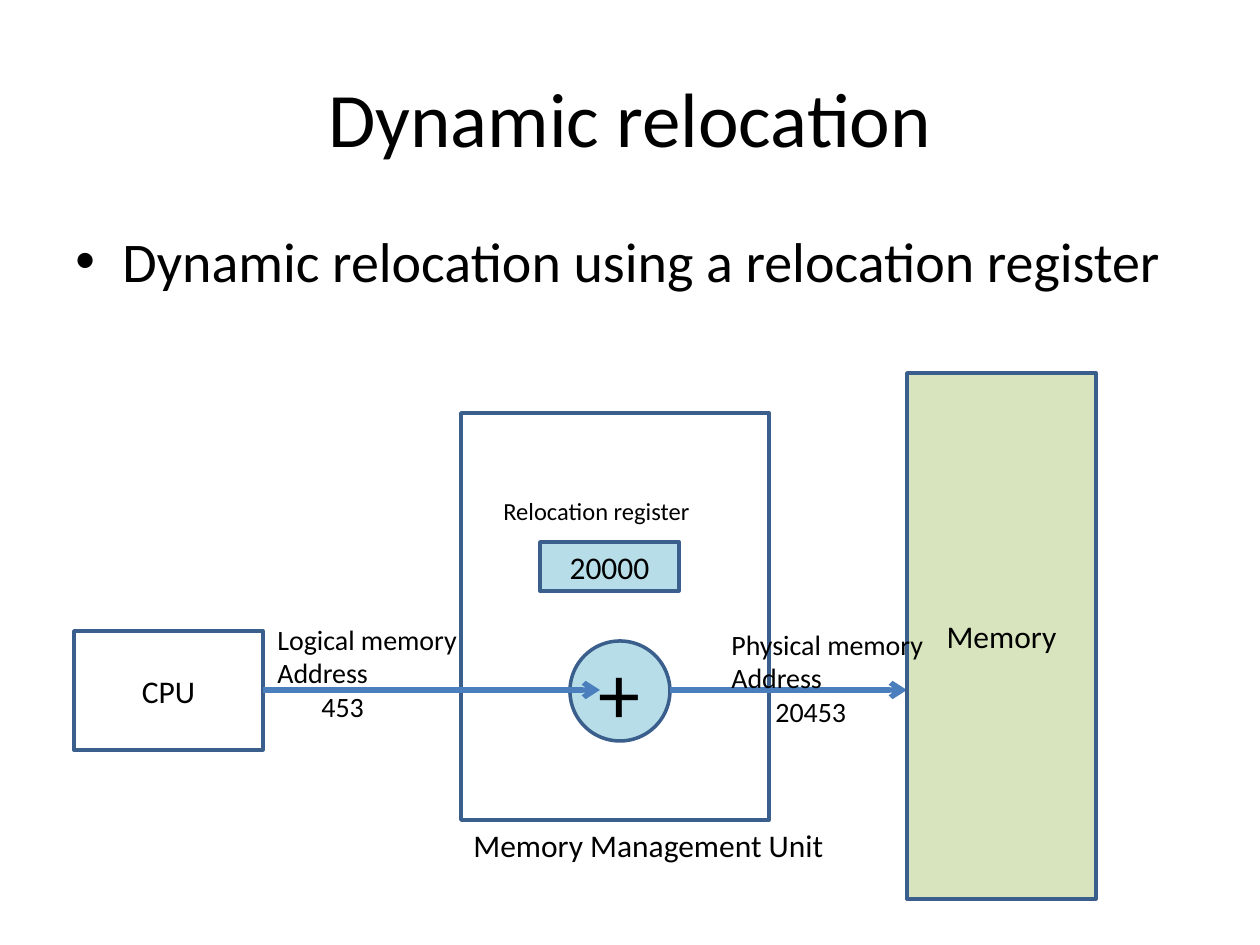
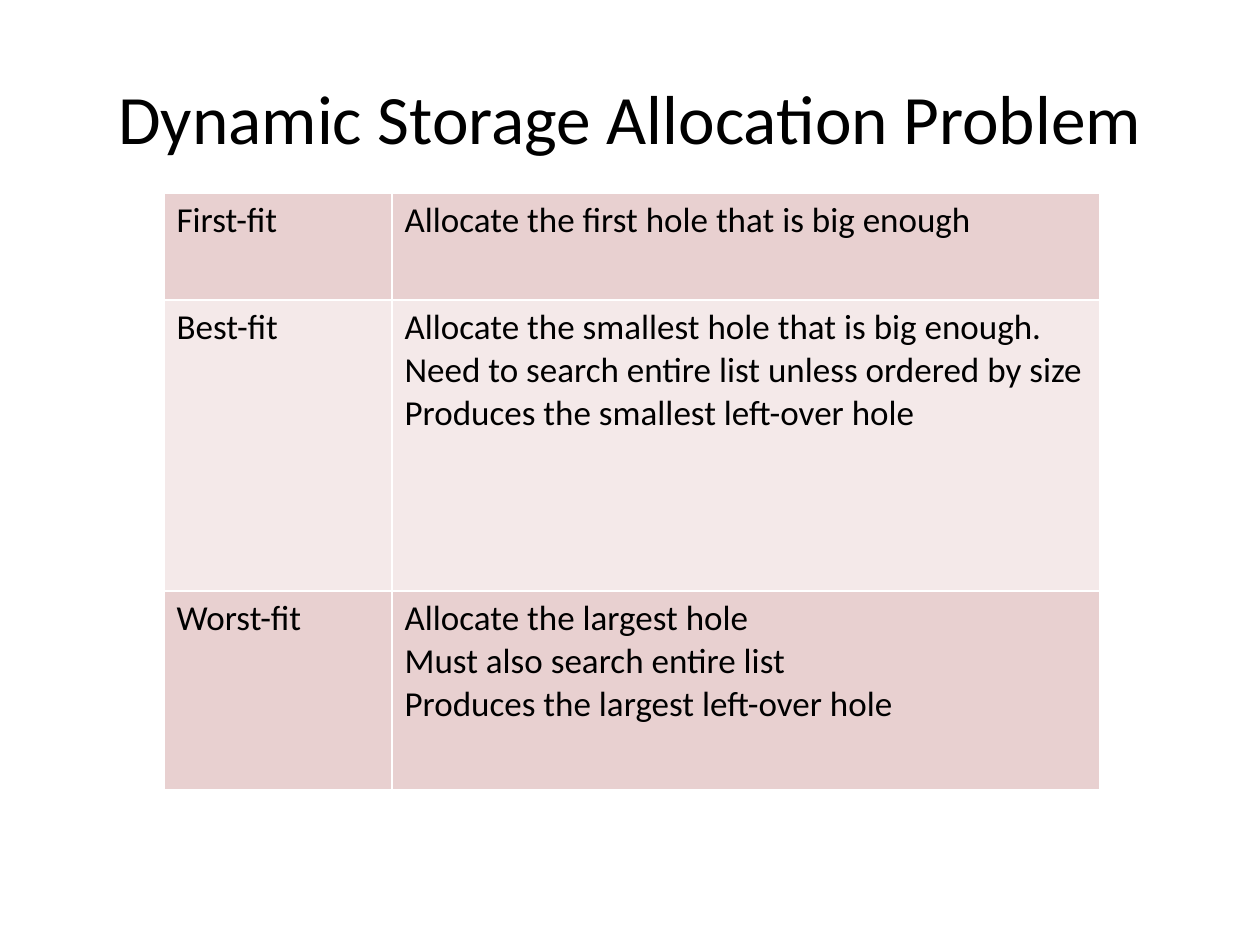
from lxml import etree
from pptx import Presentation, util as u
from pptx.dml.color import RGBColor
from pptx.enum import shapes, text
from pptx.oxml import ns

PX = u.Inches(1) / 126
FONT = "Calibri"
BLACK, WHITE = "000000", "FFFFFF"
EDGE, WIRE = "3A5F8C", "4B7EBC"
AQUA, GREEN = "B7DEE8", "D7E4BD"
BANDS = ("E8D0D0", "F4E9E9")
RECT, OVAL = shapes.MSO_SHAPE.RECTANGLE, shapes.MSO_SHAPE.OVAL
MID, LEFT = text.PP_ALIGN.CENTER, text.PP_ALIGN.LEFT

TITLE = (63, 38, 1134, 157)
BULLET = ("Dynamic relocation using a relocation register", (63, 220, 1134, 183))
MMU = (461, 413, 308, 407)
BACK = [
    ("CPU", RECT, (74, 631, 189, 119), WHITE, 18),
    ("", RECT, MMU, WHITE, 18),
    ("+", OVAL, (570, 641, 100, 100), AQUA, 48),
]
WIRES = [(263, 600), (670, 907)]
WIRE_Y = 690
FRONT = [
    ("20000", RECT, (540, 542, 139, 49), AQUA, 18),
    ("Memory", RECT, (907, 373, 189, 526), GREEN, 18),
]
LABELS = [
    (["Relocation register"], (491, 490, 227, 43), 14),
    (["Memory Management Unit"], (MMU[0], MMU[1] + MMU[3], 397, 50), 18),
]
NOTES = [
    (["Logical memory", "Address", "453"], (265, 616, 256, 115)),
    (["Physical memory", "Address", "20453"], (719, 621, 256, 115)),
]
COLS = (228, 708)
FITS = [
    ("First-fit", ["Allocate the first hole that is big enough"], 107),
    ("Best-fit", ["Allocate the smallest hole that is big enough.",
                  "Need to search entire list unless ordered by size",
                  "Produces the smallest left-over hole"], 291),
    ("Worst-fit", ["Allocate the largest hole", "Must also search entire list",
                   "Produces the largest left-over hole"], 199),
]


def px(*nums):
    return [round(n * PX) for n in nums]


def rgb(code):
    return RGBColor.from_string(code)


def paint(item, code):
    item.fill.solid()
    item.fill.fore_color.rgb = rgb(code)


def write(frame, lines, size, align=LEFT):
    frame.text = "\n".join(lines)
    for para in frame.paragraphs:
        para.alignment = align
        for run in para.runs:
            run.font.name, run.font.size = FONT, u.Pt(size)
            run.font.color.rgb = rgb(BLACK)


def label(slide, lines, box, size, align=LEFT, anchor=text.MSO_ANCHOR.TOP):
    frame = slide.shapes.add_textbox(*px(*box)).text_frame
    frame.word_wrap = True
    frame.vertical_anchor = anchor
    write(frame, lines, size, align)
    return frame


def indent(para, left, first=0):
    props = para._p.get_or_add_pPr()
    props.set("marL", str(px(left)[0]))
    props.set("indent", str(px(first)[0]))
    return props


def block(slide, word, kind, box, fill, size):
    shape = slide.shapes.add_shape(kind, *px(*box))
    shape.shadow.inherit = False
    paint(shape, fill)
    shape.line.color.rgb, shape.line.width = rgb(EDGE), u.Pt(2)
    if word:
        shape.text_frame.vertical_anchor = text.MSO_ANCHOR.MIDDLE
        write(shape.text_frame, [word], size, MID)


def wire(slide, start, end):
    line = slide.shapes.add_connector(
        shapes.MSO_CONNECTOR.STRAIGHT, *px(start, WIRE_Y, end, WIRE_Y))
    line.line.color.rgb, line.line.width = rgb(WIRE), u.Pt(3)
    etree.SubElement(line.line._get_or_add_ln(), ns.qn("a:tailEnd"), type="arrow")
    etree.SubElement(line._element.spPr, ns.qn("a:effectLst"))


def border(cell):
    props = cell._tc.get_or_add_tcPr()
    for spot, side in enumerate(("lnL", "lnR", "lnT", "lnB")):
        edge = etree.Element(ns.qn("a:" + side), w=str(u.Pt(1)))
        fill = etree.SubElement(edge, ns.qn("a:solidFill"))
        etree.SubElement(fill, ns.qn("a:srgbClr"), val=WHITE)
        props.insert(spot, edge)


def page(deck, title, size):
    slide = deck.slides.add_slide(deck.slide_layouts[6])
    label(slide, [title], TITLE, size, MID, text.MSO_ANCHOR.MIDDLE)
    return slide


def relocation(deck):
    slide = page(deck, "Dynamic relocation", 44)
    words, box = BULLET
    para = label(slide, [words], box, 32).paragraphs[0]
    para.space_before = u.Pt(6.4)
    props = indent(para, 47, -47)
    etree.SubElement(props, ns.qn("a:buFont"), typeface="Arial")
    etree.SubElement(props, ns.qn("a:buChar"), char="•")
    for part in BACK:
        block(slide, *part)
    for ends in WIRES:
        wire(slide, *ends)
    for part in FRONT:
        block(slide, *part)
    for part in LABELS:
        label(slide, *part)
    for lines, box in NOTES:
        indent(label(slide, lines, box, 16).paragraphs[-1], 44)


def storage(deck):
    slide = page(deck, "Dynamic Storage Allocation Problem", 39.6)
    high = sum(row[2] for row in FITS)
    grid = slide.shapes.add_table(
        len(FITS), len(COLS), *px(164, 193, sum(COLS), high)).table
    grid.first_row = False
    for col, wide in zip(grid.columns, COLS):
        col.width = px(wide)[0]
    for num, (name, facts, tall) in enumerate(FITS):
        grid.rows[num].height = px(tall)[0]
        for cell, lines in zip(grid.rows[num].cells, ([name], facts)):
            write(cell.text_frame, lines, 20)
            paint(cell, BANDS[num % 2])
            border(cell)


def main():
    deck = Presentation()
    deck.slide_width, deck.slide_height = px(1260, 945)
    relocation(deck)
    storage(deck)
    deck.save("out.pptx")


if __name__ == "__main__":
    main()
